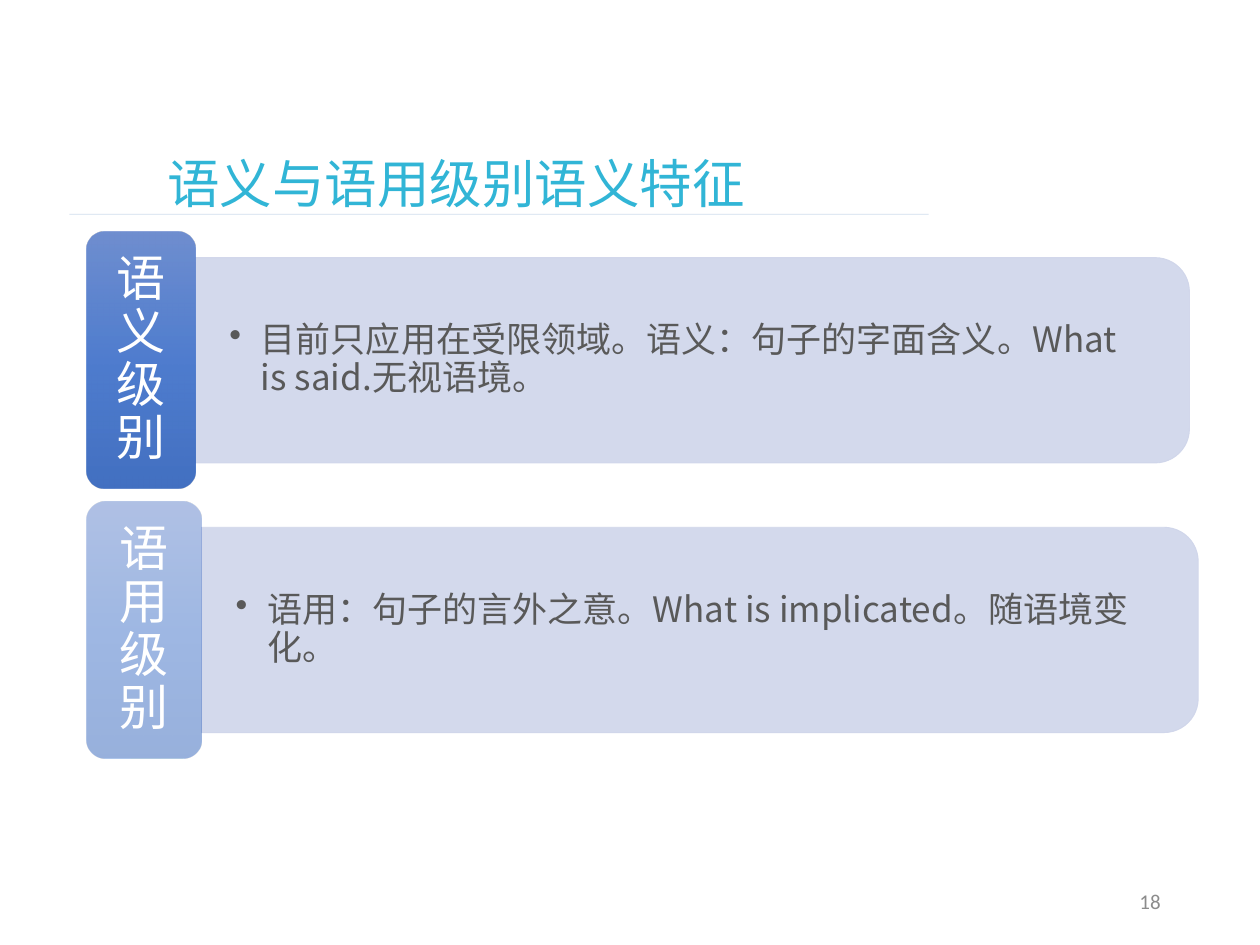
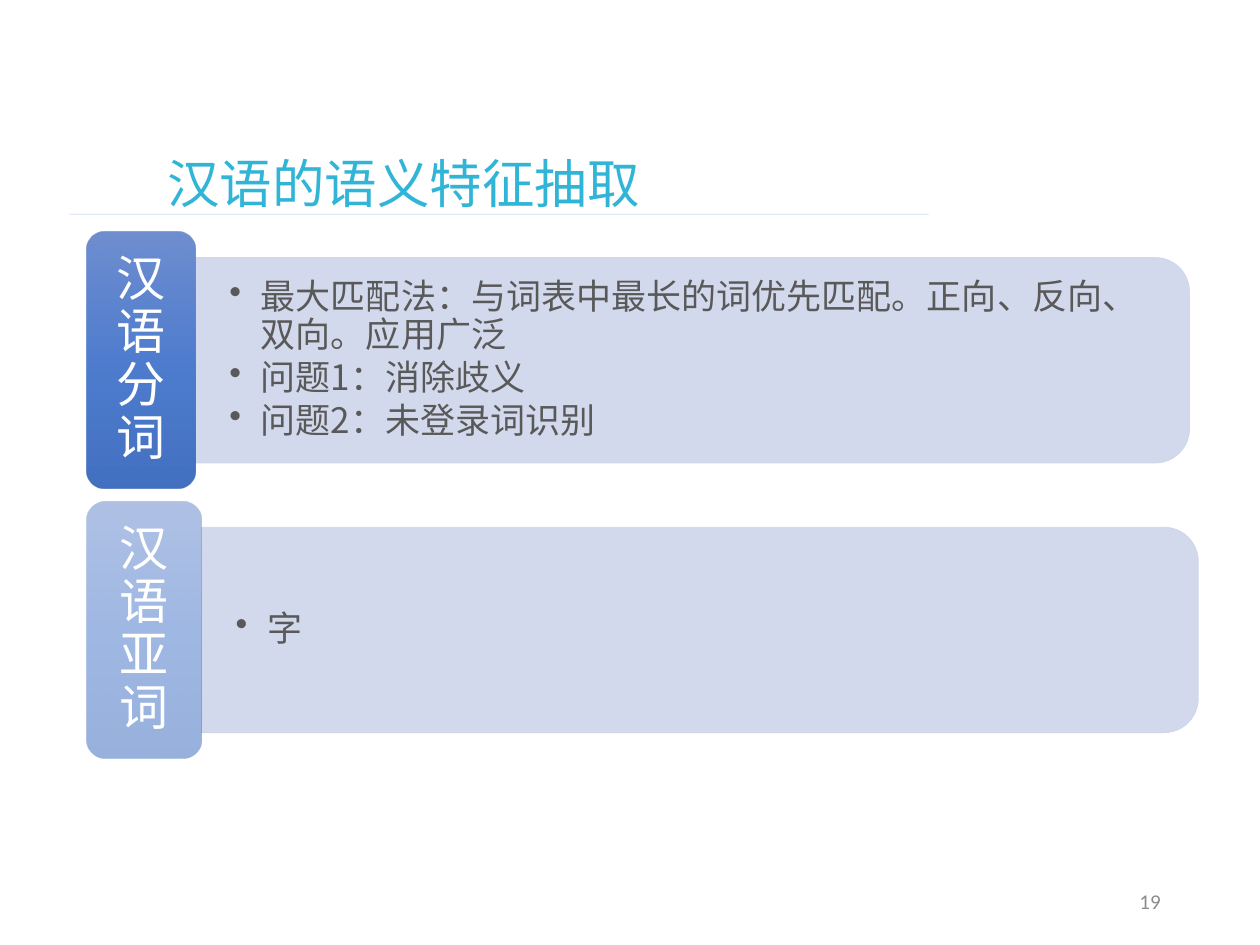
import pptx
import pptx.util
import pptx.dml.color
import pptx.enum.shapes
import pptx.enum.text
import pptx.oxml
import pptx.oxml.ns
from lxml import etree

Inches, Pt = pptx.util.Inches, pptx.util.Pt
SHAPE = pptx.enum.shapes.MSO_SHAPE
ALIGN = pptx.enum.text.PP_ALIGN
ANCHOR = pptx.enum.text.MSO_ANCHOR
qn = pptx.oxml.ns.qn

# Shared style
CJK_FONT, NUMBER_FONT = "Noto Sans CJK SC", "Calibri"
TITLE, RULE, PANEL = "31B5D6", "4A7EBB", "CFD5EA"
BODY, TAB_TEXT, PAGE_NUMBER = "595959", "FFFFFF", "8C8C8C"
TAB_GRADIENT = [(0, "6183CB"), (50, "3E70CA"), (100, "3062BB")]

# Shared row geometry, in inches
ROW_LEFT, ROW_TOP, ROW_STEP = 0.69, 1.84, 2.14
TAB_HEIGHT, PANEL_HEIGHT = 2.04, 1.63
TAB_PADDING, PANEL_PADDING = 0.04, 0.08
# One entry per row: tab width, panel width, tab opacity in percent
ROWS = [(0.86, 7.89, 90), (0.91, 7.91, 50)]

SLIDES = [
    ("语义与语用级别语义特征", 18, [
        ("语义级别", ["目前只应用在受限领域。语义：句子的字面含义。What is said.无视语境。"]),
        ("语用级别", ["语用：句子的言外之意。What is implicated。随语境变化。"]),
    ]),
    ("汉语的语义特征抽取", 19, [
        ("汉语分词", ["最大匹配法：与词表中最长的词优先匹配。正向、反向、双向。应用广泛",
                  "问题1：消除歧义",
                  "问题2：未登录词识别"]),
        ("汉语亚词", ["字"]),
    ]),
]


def rgb(color):
    return pptx.dml.color.RGBColor.from_string(color)


def set_opacity(element, percent):
    for color in element.iter(qn("a:srgbClr")):
        etree.SubElement(color, qn("a:alpha"), val=str(percent * 1000))


def add_bullet(paragraph):
    props = paragraph._p.get_or_add_pPr()
    props.set("marL", str(Inches(0.25)))
    props.set("indent", str(-Inches(0.25)))
    etree.SubElement(props, qn("a:buChar"), char="•")


def add_text(slide, box, lines, size, color, font=CJK_FONT, align=ALIGN.LEFT,
             anchor=ANCHOR.MIDDLE, insets=(0.1, 0.05), spacing=None, after=None,
             bulleted=False):
    """Place a text box; insets are horizontal and vertical."""
    frame = slide.shapes.add_textbox(*map(Inches, box)).text_frame
    frame.word_wrap = True
    frame.vertical_anchor = anchor
    frame.margin_left = frame.margin_right = Inches(insets[0])
    frame.margin_top = frame.margin_bottom = Inches(insets[1])
    for index, line in enumerate(lines):
        paragraph = frame.add_paragraph() if index else frame.paragraphs[0]
        if bulleted:
            add_bullet(paragraph)
        paragraph.alignment = align
        paragraph.line_spacing = spacing
        paragraph.space_after = after
        run = paragraph.add_run()
        run.text = line
        run.font.size = Pt(size)
        run.font.name = font
        run.font.color.rgb = rgb(color)
        etree.SubElement(run._r.get_or_add_rPr(), qn("a:ea"), typeface=font)
    return frame


def add_title(slide, text):
    rule = slide.shapes.add_connector(
        pptx.enum.shapes.MSO_CONNECTOR.STRAIGHT,
        Inches(0.55), Inches(1.7), Inches(7.37), Inches(1.7))
    rule.line.color.rgb = rgb(RULE)
    rule.line.width = Pt(0.5)
    properties = rule._element.spPr
    set_opacity(properties, 25)
    etree.SubElement(properties, qn("a:effectLst"))
    frame = add_text(slide, (1.23, 1.15, 6.37, 0.61), [text], 30, TITLE,
                     anchor=ANCHOR.TOP)
    frame.auto_size = pptx.enum.text.MSO_AUTO_SIZE.SHAPE_TO_FIT_TEXT


def add_page_number(slide, number):
    add_text(slide, (7.06, 6.95, 2.25, 0.4), [str(number)], 12, PAGE_NUMBER,
             font=NUMBER_FONT, align=ALIGN.RIGHT)


def add_panel(slide, left, top, width, points):
    # The rounded top corners are turned to face right
    panel = slide.shapes.add_shape(
        SHAPE.ROUND_2_SAME_RECTANGLE,
        Inches(left + (width - PANEL_HEIGHT) / 2),
        Inches(top + (PANEL_HEIGHT - width) / 2),
        Inches(PANEL_HEIGHT), Inches(width))
    panel.rotation = 90
    panel.shadow.inherit = False
    panel.fill.solid()
    panel.fill.fore_color.rgb = rgb(PANEL)
    panel.line.color.rgb = rgb(PANEL)
    panel.line.width = Pt(0.5)
    set_opacity(panel._element.spPr, 90)
    text_box = (left, top + PANEL_PADDING,
                width - PANEL_PADDING, PANEL_HEIGHT - 2 * PANEL_PADDING)
    add_text(slide, text_box, points, 20, BODY, insets=(0.27, 0.14),
             spacing=0.9, after=Pt(3), bulleted=True)


def fill_gradient(shape, stops, opacity):
    shape.fill.background()
    properties = shape._element.spPr
    gradient = etree.Element(qn("a:gradFill"), rotWithShape="1")
    stop_list = etree.SubElement(gradient, qn("a:gsLst"))
    for position, color in stops:
        stop = etree.SubElement(stop_list, qn("a:gs"), pos=str(position * 1000))
        etree.SubElement(stop, qn("a:srgbClr"), val=color)
    etree.SubElement(gradient, qn("a:lin"), ang="5400000", scaled="0")
    set_opacity(gradient, opacity)
    properties.replace(properties.find(qn("a:noFill")), gradient)


def add_tab(slide, top, width, label, opacity):
    tab = slide.shapes.add_shape(
        SHAPE.ROUNDED_RECTANGLE, Inches(ROW_LEFT), Inches(top),
        Inches(width), Inches(TAB_HEIGHT))
    tab.shadow.inherit = False
    tab.line.fill.background()
    fill_gradient(tab, TAB_GRADIENT, opacity)
    text_box = (ROW_LEFT + TAB_PADDING, top + TAB_PADDING,
                width - 2 * TAB_PADDING, TAB_HEIGHT - 2 * TAB_PADDING)
    add_text(slide, text_box, [label], 28, TAB_TEXT, align=ALIGN.CENTER,
             insets=(0.12, 0.06), spacing=0.9, after=Pt(10))


def main():
    deck = pptx.Presentation()
    deck.slide_width, deck.slide_height = Inches(10), Inches(7.5)
    for title, number, rows in SLIDES:
        slide = deck.slides.add_slide(deck.slide_layouts[6])
        add_title(slide, title)
        add_page_number(slide, number)
        # Each row is a panel of points with a label tab on its left
        for index, (label, points) in enumerate(rows):
            tab_width, panel_width, opacity = ROWS[index]
            top = ROW_TOP + index * ROW_STEP
            panel_top = top + (TAB_HEIGHT - PANEL_HEIGHT) / 2
            add_panel(slide, ROW_LEFT + tab_width, panel_top, panel_width, points)
            add_tab(slide, top, tab_width, label, opacity)
    deck.save("out.pptx")


if __name__ == "__main__":
    main()
